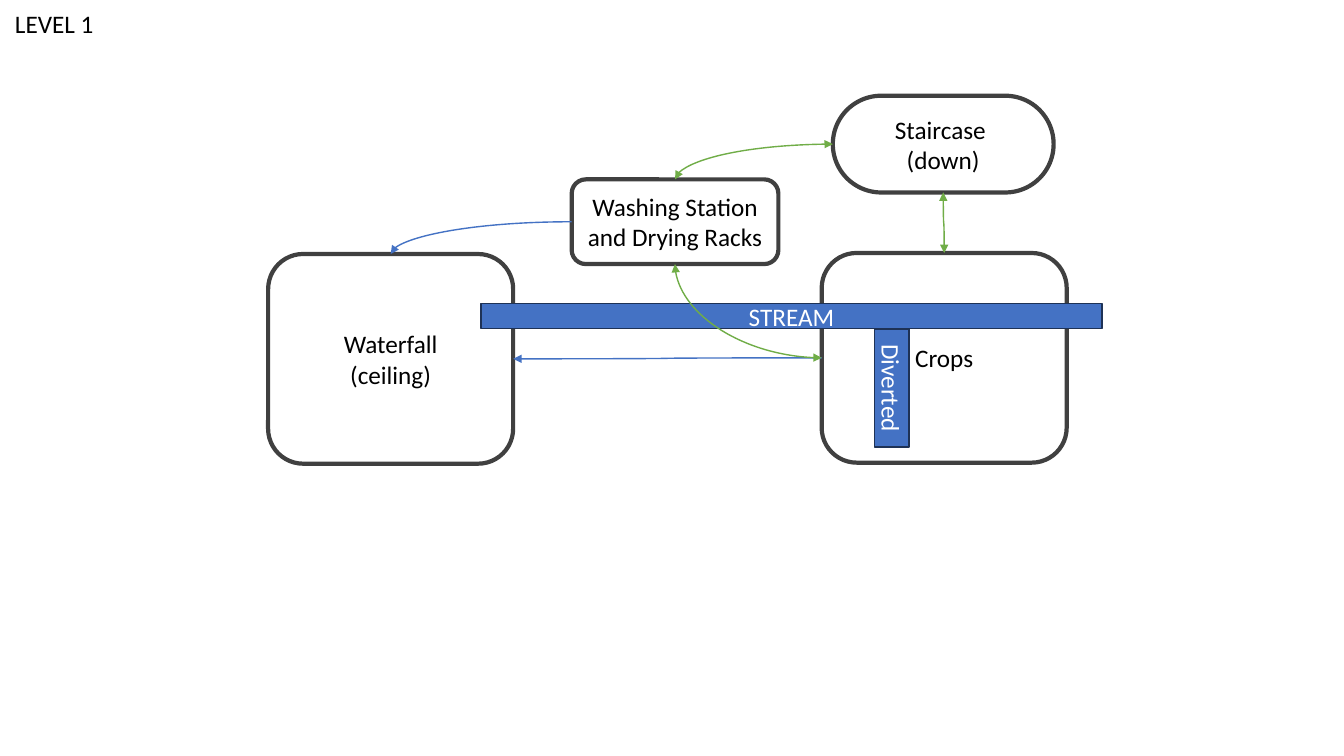
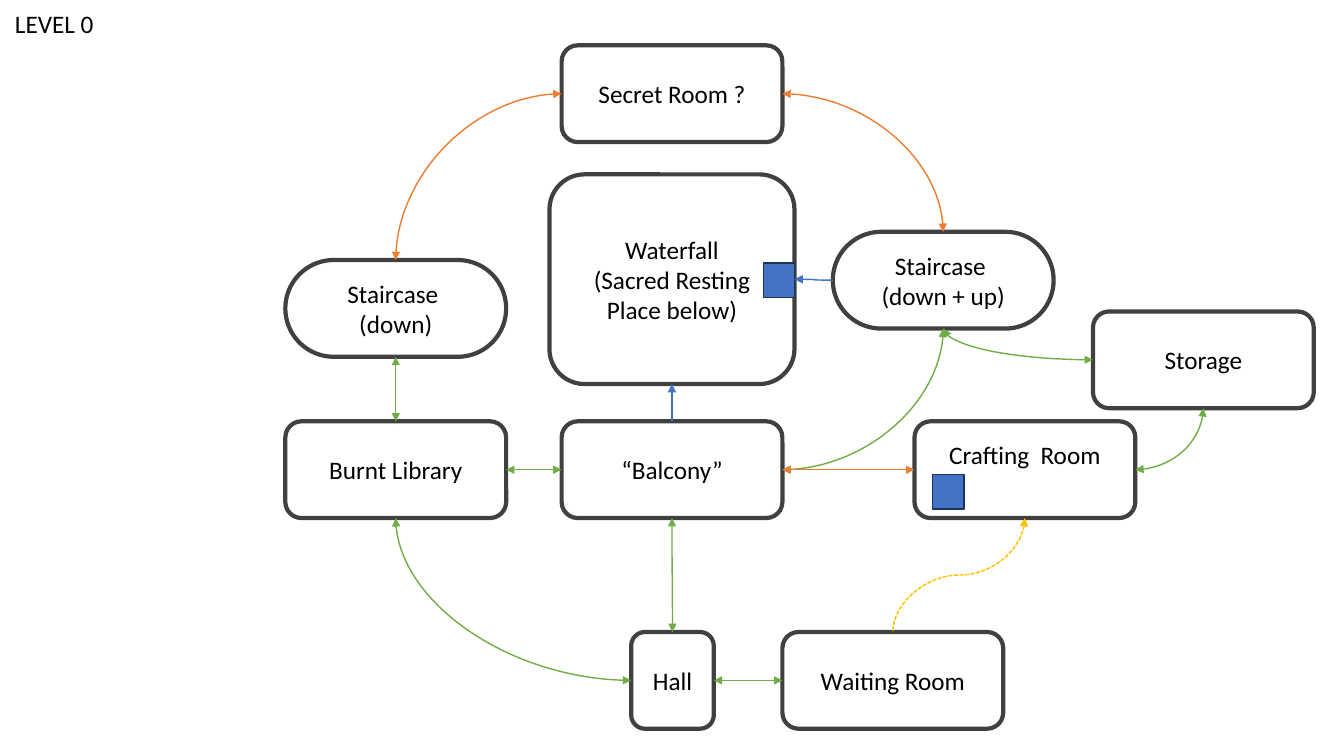
from dataclasses import dataclass
from lxml.etree import SubElement
from pptx import Presentation
from pptx.dml.color import RGBColor as RGB
from pptx.enum.dml import MSO_LINE_DASH_STYLE as DASH
from pptx.enum.shapes import MSO_CONNECTOR as CXN, MSO_SHAPE as SHAPE
from pptx.enum.text import MSO_ANCHOR as ANCHOR, PP_ALIGN as ALIGN
from pptx.oxml.ns import qn
from pptx.util import Pt

PX = 9144
TOP, LEFT, BOTTOM, RIGHT = range(4)


@dataclass(frozen=True)
class Theme:
    text: str = "000000"
    light: str = "FFFFFF"
    wall: str = "404040"
    water: str = "4472C4"
    bank: str = "1E3256"
    path_open: str = "70AD47"
    hidden: str = "ED7D31"
    unsure: str = "FFC000"
    font: str = "Calibri"
    size: int = 18
    wall_width: int = 3
    thin: int = 1


T = Theme()
FONT = {"name": T.font, "size": Pt(T.size)}
ROOM, STAIR, HALL = (219, 96), (219, 96), (82, 96)
LARGE, SMALL, POOL = (243, 208), (205, 84), (31, 34)
BOTH, END, START = ("headEnd", "tailEnd"), ("tailEnd",), ("headEnd",)

LEVELS = [
    {
        "title": "LEVEL 1",
        "rooms": {
            "waterfall": (266, 252, LARGE, "Waterfall\n(ceiling)"),
            "crops": (815, 251, LARGE, "Crops"),
            "stairs": (826, 95, STAIR, "Staircase \v(down)"),
            "washing": (567, 178, SMALL, "Washing Station and Drying Racks"),
        },
        "water": [
            (477, 301, (616, 25), "STREAM", 0),
            (826, 368, (117, 34), "Diverted", 90),
        ],
        "links": [
            ("stairs", BOTTOM, "crops", TOP, T.path_open, BOTH),
            ("crops", LEFT, "waterfall", RIGHT, T.water, END),
            ("washing", LEFT, "waterfall", TOP, T.water, END),
            ("washing", TOP, "stairs", LEFT, T.path_open, BOTH),
            ("washing", BOTTOM, "crops", LEFT, T.path_open, BOTH),
        ],
    },
    {
        "title": "LEVEL 0",
        "rooms": {
            "hall": (626, 627, HALL, "Hall"),
            "waterfall": (545, 173, LARGE,
                          "Waterfall\n(Sacred Resting Place below)"),
            "waiting": (776, 627, ROOM, "Waiting Room"),
            "balcony": (557, 418, ROOM, "“Balcony”"),
            "library": (283, 418, ROOM, "Burnt Library"),
            "stairs_up": (826, 230, STAIR, "Staircase \v(down + up)"),
            "stairs": (283, 258, STAIR, "Staircase \v(down)"),
            "crafting": (907, 418, ROOM, "Crafting  Room"),
            "storage": (1084, 309, ROOM, "Storage"),
            "secret": (557, 45, ROOM, "Secret Room ?"),
        },
        "water": [(757, 261, POOL, "", 0), (925, 471, POOL, "", 0)],
        "links": [
            ("hall", RIGHT, "waiting", LEFT, T.path_open, BOTH),
            ("hall", TOP, "balcony", BOTTOM, T.path_open, BOTH),
            ("balcony", LEFT, "library", RIGHT, T.path_open, BOTH),
            ("hall", LEFT, "library", BOTTOM, T.path_open, BOTH),
            ("stairs_up", BOTTOM, "balcony", RIGHT, T.path_open, BOTH),
            ("stairs_up", LEFT, "waterfall", RIGHT, T.water, END),
            ("balcony", TOP, "waterfall", BOTTOM, T.water, END),
            ("stairs", BOTTOM, "library", TOP, T.path_open, BOTH),
            ("crafting", LEFT, "balcony", RIGHT, T.hidden, BOTH),
            ("storage", BOTTOM, "crafting", RIGHT, T.path_open, BOTH),
            ("storage", LEFT, "stairs_up", BOTTOM, T.path_open, BOTH),
            ("stairs_up", TOP, "secret", RIGHT, T.hidden, BOTH),
            ("secret", LEFT, "stairs", TOP, T.hidden, BOTH),
            ("crafting", BOTTOM, "waiting", TOP, T.unsure, START),
        ],
    },
]


def write(tf, text, color, align):
    tf.text = text
    for p in tf.paragraphs:
        p.alignment = align
        for r in p.runs:
            for key, value in FONT.items():
                setattr(r.font, key, value)
            r.font.color.rgb = RGB.from_string(color)


def add_box(s, kind, x, y, size, text, fill, line, width, color):
    sp = s.shapes.add_shape(kind, x * PX, y * PX, size[0] * PX, size[1] * PX)
    sp.shadow.inherit = False
    if fill:
        sp.fill.solid()
        sp.fill.fore_color.rgb = RGB.from_string(fill)
    else:
        sp.fill.background()
    sp.line.color.rgb = RGB.from_string(line)
    sp.line.width = Pt(width)
    sp.text_frame.vertical_anchor = ANCHOR.MIDDLE
    if text:
        write(sp.text_frame, text, color, ALIGN.CENTER)
    return sp


prs = Presentation()
prs.slide_width, prs.slide_height = 1333 * PX, 750 * PX

for level in LEVELS:
    s = prs.slides.add_slide(prs.slide_layouts[6])
    title = s.shapes.add_textbox(5 * PX, 3 * PX, 99 * PX, 40 * PX)
    title.text_frame.word_wrap = False
    write(title.text_frame, level["title"], T.text, ALIGN.LEFT)

    rooms = {}
    for name, (x, y, size, text) in level["rooms"].items():
        sp = add_box(s, SHAPE.ROUNDED_RECTANGLE, x, y, size, text,
                     None, T.wall, T.wall_width, T.text)
        if name.startswith("stairs"):
            sp.adjustments[0] = 0.5
        if name == "crafting":
            sp.text_frame.margin_bottom = 35 * PX
        rooms[name] = sp

    for x, y, size, text, turn in level["water"]:
        sp = add_box(s, SHAPE.RECTANGLE, x, y, size, text,
                     T.water, T.bank, T.thin, T.light)
        sp.rotation = turn

    for a, a_side, b, b_side, color, heads in level["links"]:
        c = s.shapes.add_connector(CXN.CURVE, 0, 0, 0, 0)
        c.begin_connect(rooms[a], a_side)
        c.end_connect(rooms[b], b_side)
        spPr = c._element.spPr
        if a_side % 2 != b_side % 2:
            spPr.find(qn("a:prstGeom")).set("prst", "curvedConnector2")
        if a_side in (TOP, BOTTOM):
            dx, dy = c.end_x - c.begin_x, c.end_y - c.begin_y
            mx, my = c.begin_x + dx // 2, c.begin_y + dy // 2
            turned = {"begin_x": mx - dy // 2, "begin_y": my + dx // 2,
                      "end_x": mx + dy // 2, "end_y": my - dx // 2}
            for key, value in turned.items():
                setattr(c, key, value)
            spPr.find(qn("a:xfrm")).set("rot", "5400000")
        c.line.color.rgb = RGB.from_string(color)
        c.line.width = Pt(T.thin)
        if color == T.unsure:
            c.line.dash_style = DASH.SQUARE_DOT
        ln = spPr.find(qn("a:ln"))
        for head in heads:
            SubElement(ln, qn(f"a:{head}")).set("type", "triangle")
        SubElement(spPr, qn("a:effectLst"))

prs.save("out.pptx")
